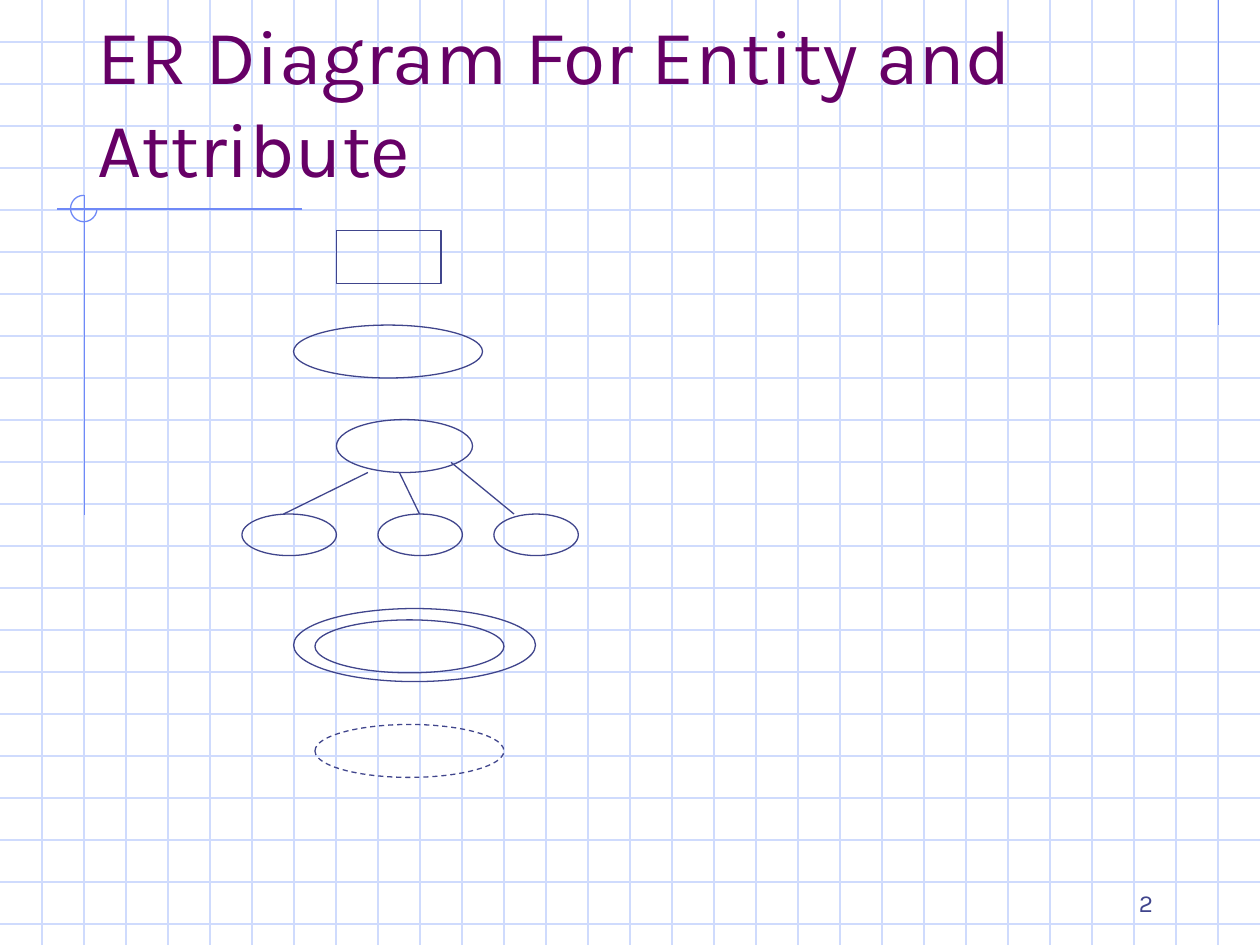
from lxml import etree
from pptx import Presentation
from pptx.dml.color import RGBColor
from pptx.enum import dml, shapes, text
from pptx.oxml.ns import qn
from pptx.util import Inches, Pt

GRID = RGBColor(0xCF, 0xDB, 0xFD)
TRIM = RGBColor(0x6F, 0x89, 0xF7)
INK = RGBColor(0x40, 0x45, 0x8C)
PLUM = RGBColor(0x66, 0x00, 0x66)
WIDE, HIGH, STEP = 10, 7.5, 1 / 3
KIND = shapes.MSO_SHAPE


class Page:
    """Holds the style and the current slide."""

    face = "Karla"
    width = Pt(0.75)

    def __init__(self, deck):
        self.slide = deck.slides.add_slide(deck.slide_layouts[5])
        self.items = self.slide.shapes

    def line(self, start, end, color=INK):
        ends = [Inches(v) for v in (*start, *end)]
        link = self.items.add_connector(shapes.MSO_CONNECTOR.STRAIGHT, *ends)
        link.line.color.rgb = color
        link.line.width = self.width
        etree.SubElement(link._element.spPr, qn("a:effectLst"))

    def shape(self, kind, box, color=INK, dash=None):
        item = self.items.add_shape(kind, *[Inches(v) for v in box])
        item.shadow.inherit = False
        item.fill.background()
        item.line.color.rgb = color
        for name, value in {"width": self.width, "dash_style": dash}.items():
            setattr(item.line, name, value)
        return item

    def words(self, item, wording, size, color, align):
        frame = item.text_frame
        frame.text = wording
        form = {"word_wrap": True, "auto_size": text.MSO_AUTO_SIZE.NONE,
                "vertical_anchor": text.MSO_ANCHOR.BOTTOM}
        for name, value in form.items():
            setattr(frame, name, value)
        para = frame.paragraphs[0]
        para.alignment = align
        font = para.runs[0].font
        for name, value in {"name": self.face, "size": Pt(size)}.items():
            setattr(font, name, value)
        font.color.rgb = color

    def title(self, wording, box):
        item = self.items.title
        for name, value in zip(("left", "top", "width", "height"), box):
            setattr(item, name, Inches(value))
        self.words(item, wording, 44, PLUM, text.PP_ALIGN.LEFT)
        # Bring the title in front of the grid
        self.items._spTree.append(item._element)

    def label(self, wording, box):
        item = self.items.add_textbox(*[Inches(v) for v in box])
        self.words(item, wording, 14, INK, text.PP_ALIGN.RIGHT)


def main():
    deck = Presentation()
    deck.slide_width, deck.slide_height = Inches(WIDE), Inches(HIGH)
    page = Page(deck)

    # Graph paper
    for row in range(1, int(HIGH / STEP) + 1):
        page.line((0, row * STEP), (WIDE, row * STEP), GRID)
    for col in range(1, int(WIDE / STEP)):
        page.line((col * STEP, 0), (col * STEP, HIGH), GRID)

    # Trim lines and the open circle at their corner
    page.line((9.67, 0), (9.67, 2.58), TRIM)
    page.line((2.4, 1.66), (0.45, 1.66), TRIM)
    page.line((0.67, 1.55), (0.67, 4.09), TRIM)
    arc = page.shape(KIND.ARC, (0.56, 1.55, 0.21, 0.21), TRIM)
    arc.adjustments[0] = 0
    arc.adjustments[1] = 162  # 270 degrees

    # Page number and title
    page.label("2", (7.17, 6.83, 2.08, 0.5))
    page.title("ER Diagram For Entity and Attribute", (0.67, 0.33, 8.5, 1.25))

    # Entity and simple attribute
    page.shape(KIND.RECTANGLE, (2.67, 1.83, 0.83, 0.42))
    page.shape(KIND.OVAL, (2.33, 2.58, 1.5, 0.42))

    # Composite attribute with its parts
    page.shape(KIND.OVAL, (2.67, 3.33, 1.08, 0.42))
    for left, width in ((1.92, 0.75), (3, 0.67), (3.92, 0.67)):
        page.shape(KIND.OVAL, (left, 4.08, width, 0.33))
    for start, foot in (((2.92, 3.75), 2.25), ((3.17, 3.75), 3.33),
                        ((3.58, 3.67), 4.08)):
        page.line(start, (foot, 4.08))

    # Multivalued attribute
    page.shape(KIND.OVAL, (2.5, 4.92, 1.5, 0.42))
    page.shape(KIND.OVAL, (2.33, 4.83, 1.92, 0.58))

    # Derived attribute
    page.shape(KIND.OVAL, (2.5, 5.75, 1.5, 0.42), dash=dml.MSO_LINE.DASH)

    deck.save("out.pptx")


if __name__ == "__main__":
    main()
